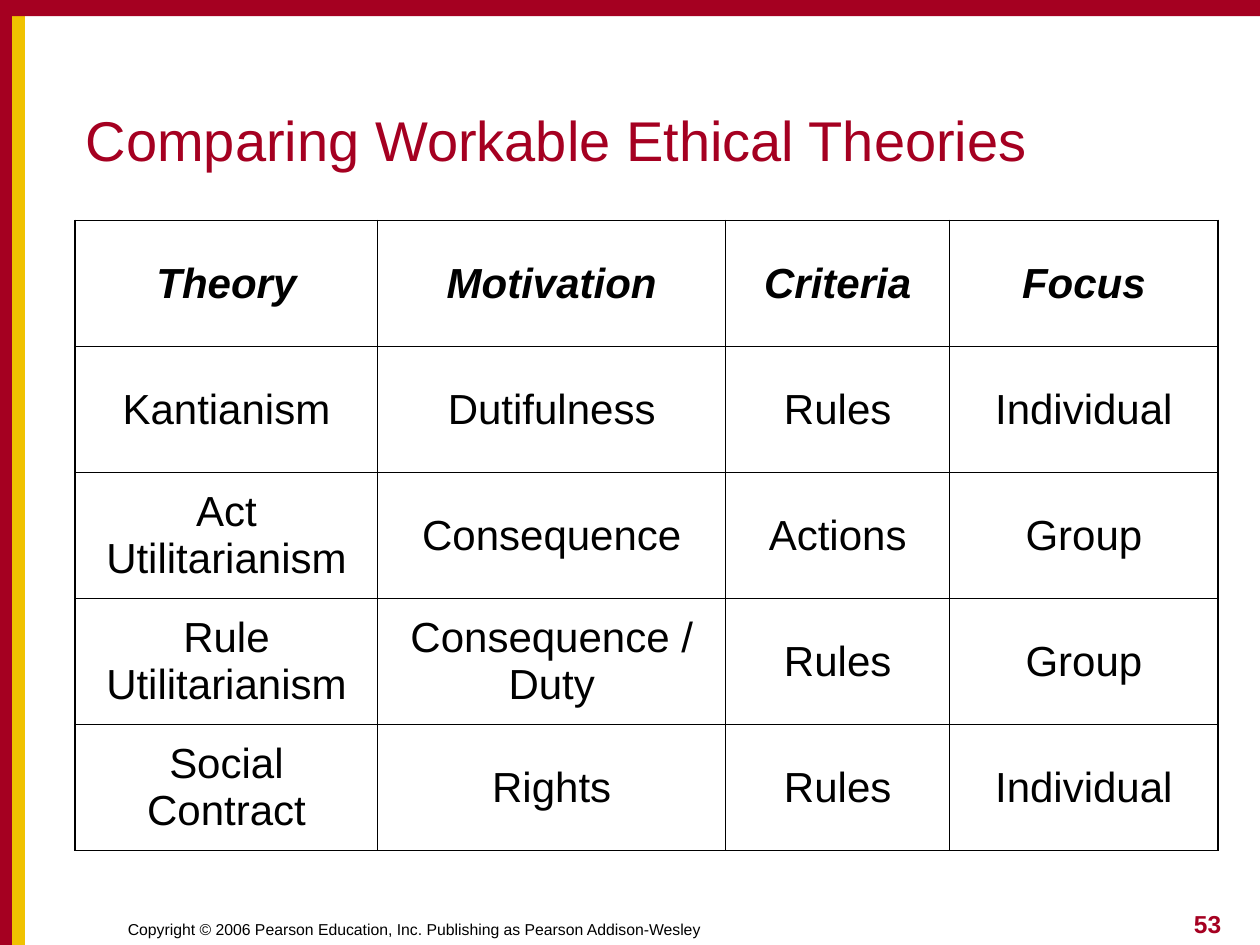
"""Build a slide with a table that compares four ethical theories."""
from dataclasses import dataclass

from lxml import etree
from pptx import Presentation
from pptx.dml.color import RGBColor
from pptx.enum.shapes import MSO_SHAPE
from pptx.enum.text import MSO_ANCHOR, MSO_AUTO_SIZE, PP_ALIGN
from pptx.oxml.ns import qn
from pptx.util import Pt

RED = RGBColor(0xA5, 0x00, 0x21)
GOLD = RGBColor(0xF0, 0xC2, 0x00)
BLACK = RGBColor(0, 0, 0)

RECT = MSO_SHAPE.RECTANGLE
LEFT, CENTER, RIGHT = PP_ALIGN.LEFT, PP_ALIGN.CENTER, PP_ALIGN.RIGHT
MIDDLE, BOTTOM = MSO_ANCHOR.MIDDLE, MSO_ANCHOR.BOTTOM
NO_AUTOFIT = MSO_AUTO_SIZE.NONE

FONT = "Arial"
SLIDE_W, SLIDE_H = 720, 540
OUTER, INNER = 1.08, 0.45
ROW_H = 72
COL_WIDTHS = (172.8, 198.9, 128, 153.4)
ROWS = (
    ("Theory", "Motivation", "Criteria", "Focus"),
    ("Kantianism", "Dutifulness", "Rules", "Individual"),
    ("Act Utilitarianism", "Consequence", "Actions", "Group"),
    ("Rule Utilitarianism", "Consequence / Duty", "Rules", "Group"),
    ("Social Contract", "Rights", "Rules", "Individual"),
)


@dataclass(frozen=True)
class Box:
    """Position and size in points."""

    x: float
    y: float
    w: float
    h: float

    def lengths(self) -> tuple:
        """Return left, top, width and height as lengths."""
        return Pt(self.x), Pt(self.y), Pt(self.w), Pt(self.h)


@dataclass(frozen=True)
class Stripe:
    """One coloured band at the slide's edge."""

    box: Box
    color: RGBColor


STRIPES = (
    Stripe(Box(0, 0, 9.2, SLIDE_H), RED),
    Stripe(Box(7, 0, 7.2, SLIDE_H), GOLD),
    Stripe(Box(0, 0, SLIDE_W, 9.2), RED),
)


def write(tf, text: str, *, size: float, color: RGBColor = BLACK,
          align=LEFT, bold: bool = False, italic: bool = False) -> None:
    """Put one formatted line of text in a text frame."""
    p = tf.paragraphs[0]
    p.alignment = align
    r = p.add_run()
    r.text = text
    font = r.font
    font.name, font.size, font.color.rgb = FONT, Pt(size), color
    font.bold, font.italic = bold, italic


def add_stripe(slide, stripe: Stripe) -> None:
    """Draw one band without outline."""
    sp = slide.shapes.add_shape(RECT, *stripe.box.lengths())
    sp.shadow.inherit = False
    sp.fill.solid()
    sp.fill.fore_color.rgb = stripe.color
    sp.line.fill.background()


def place_text(sp, box: Box, text: str, **fmt) -> None:
    """Place a text shape and write at its bottom."""
    sp.left, sp.top, sp.width, sp.height = box.lengths()
    tf = sp.text_frame
    tf.word_wrap = True
    tf.auto_size = NO_AUTOFIT
    tf.vertical_anchor = BOTTOM
    write(tf, text, **fmt)


def add_label(slide, box: Box, text: str, **fmt) -> None:
    """Add a text box."""
    place_text(slide.shapes.add_textbox(*box.lengths()), box, text, **fmt)


def set_borders(cell, widths: dict[str, float]) -> None:
    """Give a cell solid black borders."""
    tc_pr = cell._tc.get_or_add_tcPr()
    for side, width in widths.items():
        ln = etree.SubElement(tc_pr, qn(f"a:ln{side}"), w=str(int(Pt(width))))
        fill = etree.SubElement(ln, qn("a:solidFill"))
        etree.SubElement(fill, qn("a:srgbClr"), val=str(BLACK))


def add_comparison(slide, x: float, y: float) -> None:
    """Add the table of theories."""
    box = Box(x, y, sum(COL_WIDTHS), ROW_H * len(ROWS))
    table = slide.shapes.add_table(len(ROWS), len(COL_WIDTHS), *box.lengths()).table
    table.first_row = table.horz_banding = False
    for column, width in zip(table.columns, COL_WIDTHS):
        column.width = Pt(width)
    last_row, last_col = len(ROWS) - 1, len(COL_WIDTHS) - 1
    for i, texts in enumerate(ROWS):
        table.rows[i].height = Pt(ROW_H)
        for j, text in enumerate(texts):
            cell = table.cell(i, j)
            edges = {"L": j == 0, "R": j == last_col, "T": i == 0, "B": i == last_row}
            set_borders(cell, {side: OUTER if outer else INNER
                               for side, outer in edges.items()})
            cell.fill.background()
            cell.vertical_anchor = MIDDLE
            write(cell.text_frame, text, size=24, align=CENTER,
                  bold=i == 0, italic=i == 0)


def main() -> None:
    """Build and save the slide."""
    prs = Presentation()
    prs.slide_width, prs.slide_height = Pt(SLIDE_W), Pt(SLIDE_H)
    slide = prs.slides.add_slide(prs.slide_layouts[5])
    for stripe in STRIPES:
        add_stripe(slide, stripe)
    place_text(slide.shapes.title, Box(41.8, 23.8, 653.8, 78.5),
               "Comparing Workable Ethical Theories", size=32, color=RED)
    add_comparison(slide, 43, 126)
    add_label(slide, Box(66, 504, 354, 36),
              "Copyright © 2006 Pearson Education, Inc. "
              "Publishing as Pearson Addison-Wesley", size=9)
    add_label(slide, Box(555, 504, 150, 36), "53",
              size=14, color=RED, align=RIGHT, bold=True)
    prs.save("out.pptx")


if __name__ == "__main__":
    main()
